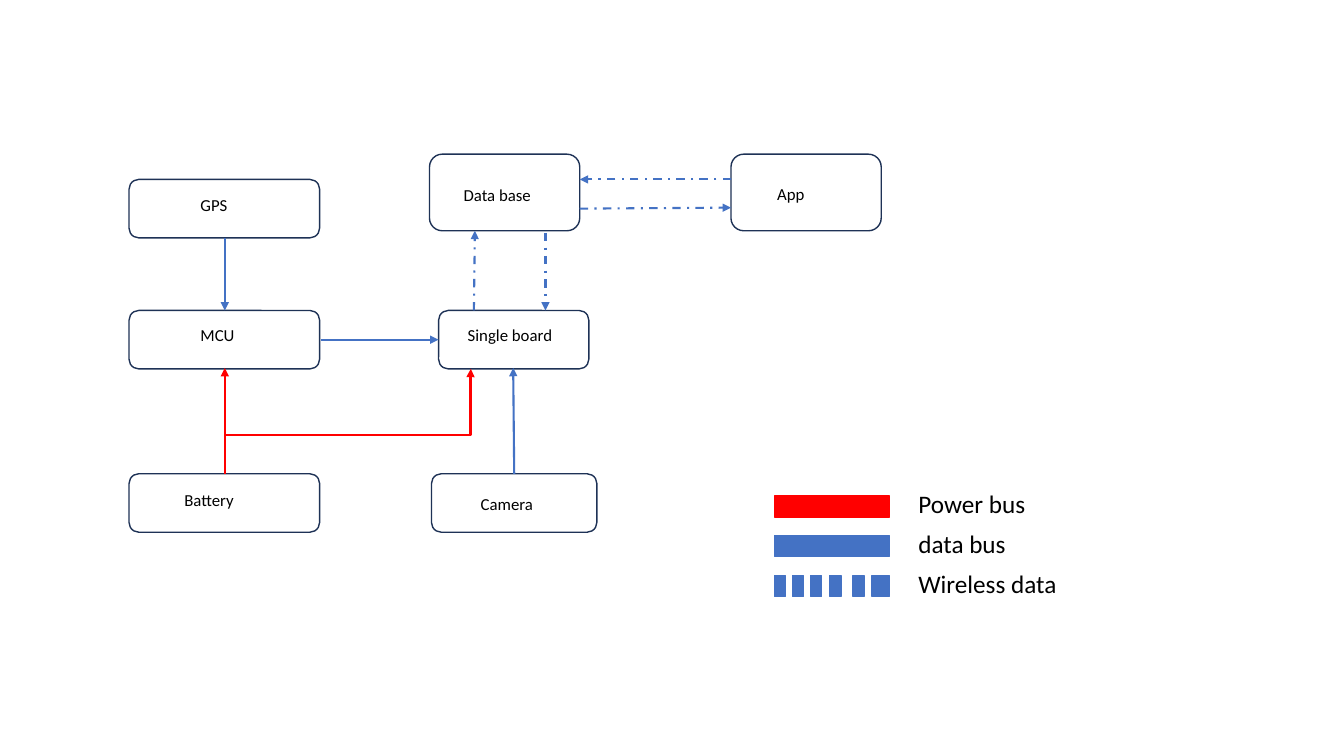
from lxml import etree
from pptx import Presentation
from pptx.dml.color import RGBColor
from pptx.enum import dml, shapes, text
from pptx.oxml.ns import qn
from pptx.util import Inches, Pt

NAVY = RGBColor(0x1E, 0x32, 0x56)
BLUE = RGBColor(0x44, 0x72, 0xC4)
RED = RGBColor(0xFF, 0x00, 0x00)
WHITE = RGBColor(0xFF, 0xFF, 0xFF)
BLACK = RGBColor(0x00, 0x00, 0x00)


class Diagram:
    font = "Calibri"

    def __init__(self, slide):
        self.slide = slide

    def shape(self, kind, box, fill=None, line=None):
        shape = self.slide.shapes.add_shape(kind, *map(Inches, box))
        shape.shadow.inherit = False
        if fill is None:
            shape.fill.background()
        else:
            shape.fill.solid()
            shape.fill.fore_color.rgb = fill
        if line is None:
            shape.line.fill.background()
        else:
            shape.line.color.rgb = line
            shape.line.width = Pt(1)
        return shape

    def set_words(self, shape, words, size):
        frame = shape.text_frame
        frame.word_wrap = True
        frame.vertical_anchor = text.MSO_ANCHOR.TOP
        paragraph = frame.paragraphs[0]
        paragraph.text = words
        paragraph.alignment = text.PP_ALIGN.LEFT
        paragraph.font.name = self.font
        paragraph.font.size = Pt(size)
        paragraph.font.color.rgb = BLACK

    def node(self, words, box, label_box):
        self.shape(shapes.MSO_SHAPE.ROUNDED_RECTANGLE, box, line=NAVY)
        label = self.shape(shapes.MSO_SHAPE.RECTANGLE, label_box, fill=WHITE)
        self.set_words(label, words, 12)

    def bar(self, left, top, width, color):
        box = (left, top, width, 0.21)
        self.shape(shapes.MSO_SHAPE.RECTANGLE, box, color, color)

    def caption(self, words, top, width):
        box = map(Inches, (9.01, top, width, 0.4))
        self.set_words(self.slide.shapes.add_textbox(*box), words, 18)

    def arrow(self, start, end, color=BLUE, dashed=False, bend=None):
        kind = shapes.MSO_CONNECTOR.ELBOW if bend else shapes.MSO_CONNECTOR.STRAIGHT
        connector = self.slide.shapes.add_connector(kind, *map(Inches, start + end))
        connector.line.color.rgb = color
        connector.line.width = Pt(1.5)
        if dashed:
            connector.line.dash_style = dml.MSO_LINE.DASH_DOT
        properties = connector._element.spPr
        etree.SubElement(properties.find(qn("a:ln")), qn("a:tailEnd"), type="triangle")
        etree.SubElement(properties, qn("a:effectLst"))
        if bend:
            adjustments = properties.find(qn("a:prstGeom")).get_or_add_avLst()
            etree.SubElement(adjustments, qn("a:gd"), name="adj1", fmla=f"val {bend}")


def main():
    presentation = Presentation()
    presentation.slide_width = Inches(13.33)
    presentation.slide_height = Inches(7.5)
    diagram = Diagram(presentation.slides.add_slide(presentation.slide_layouts[6]))

    # Components: name, outline, label area
    for node in (
        ("MCU", (1.28, 3.08, 1.89, 0.58), (1.89, 3.17, 0.74, 0.33)),
        ("GPS", (1.28, 1.78, 1.89, 0.58), (1.89, 1.88, 0.74, 0.33)),
        ("Battery", (1.28, 4.7, 1.89, 0.58), (1.73, 4.81, 1.11, 0.27)),
        ("Data base", (4.26, 1.53, 1.49, 0.76), (4.5, 1.78, 1.03, 0.35)),
        ("Single board", (4.35, 3.08, 1.49, 0.58), (4.54, 3.17, 1.18, 0.33)),
        ("Camera", (4.28, 4.7, 1.64, 0.58), (4.67, 4.85, 0.87, 0.27)),
        ("App", (7.25, 1.53, 1.49, 0.76), (7.61, 1.77, 0.87, 0.27)),
    ):
        diagram.node(*node)

    # Power bus
    diagram.arrow((2.23, 4.7), (2.23, 3.65), RED)
    diagram.arrow((2.23, 4.32), (4.67, 3.66), RED, bend=99900)

    # Data bus
    diagram.arrow((2.23, 2.36), (2.23, 3.08))
    diagram.arrow((3.18, 3.37), (4.35, 3.37))
    diagram.arrow((5.1, 4.7), (5.09, 3.65))

    # Wireless data
    for start, end in (
        ((4.7, 3.08), (4.71, 2.29)),
        ((5.41, 2.31), (5.41, 3.08)),
        ((7.25, 1.78), (5.75, 1.78)),
        ((5.75, 2.07), (7.25, 2.06)),
    ):
        diagram.arrow(start, end, dashed=True)

    # Legend
    diagram.bar(7.68, 4.92, 1.14, RED)
    diagram.bar(7.68, 5.31, 1.14, BLUE)
    for left in (7.68, 7.86, 8.04, 8.23, 8.46):
        diagram.bar(left, 5.71, 0.11, BLUE)
    diagram.bar(8.65, 5.71, 0.17, BLUE)
    diagram.caption("Power bus", 4.8, 1.42)
    diagram.caption("data bus", 5.19, 1.42)
    diagram.caption("Wireless data", 5.59, 1.77)

    presentation.save("out.pptx")


if __name__ == "__main__":
    main()
